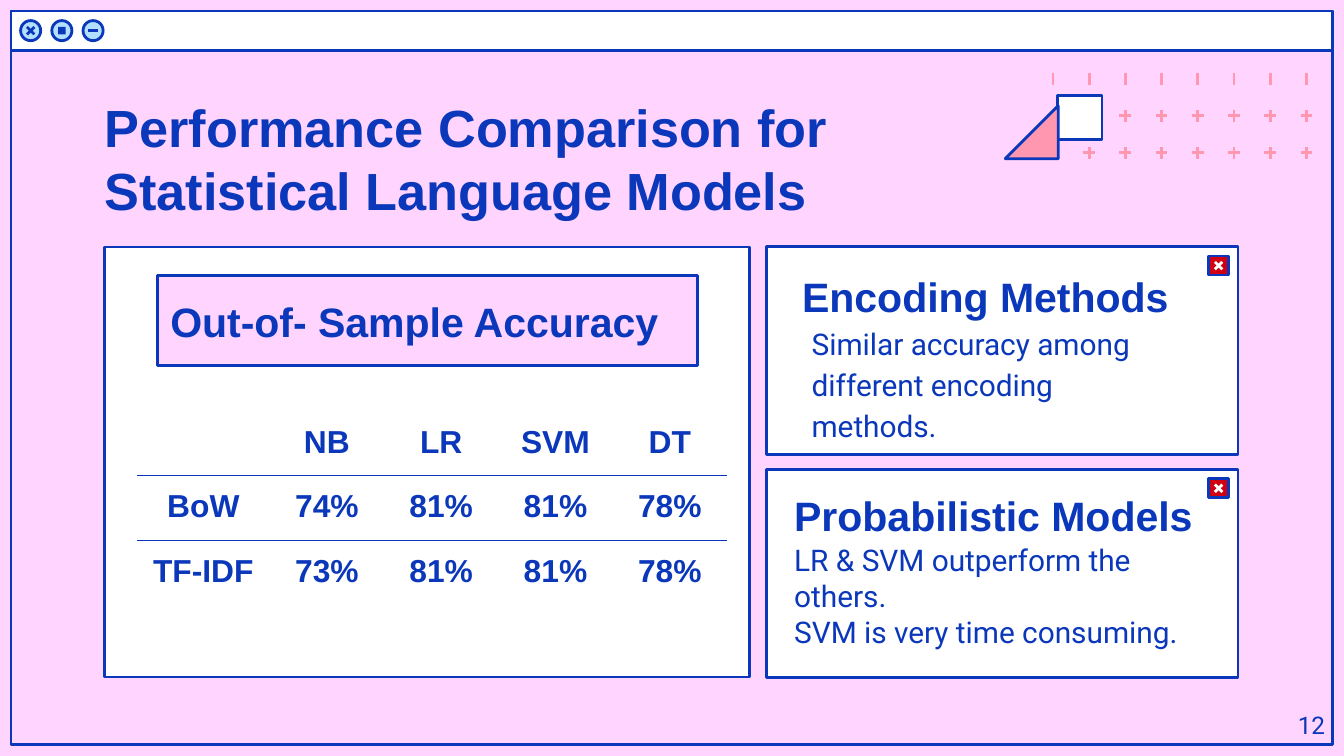
from lxml import etree
from pptx import Presentation
from pptx.dml.color import RGBColor
from pptx.enum.shapes import MSO_CONNECTOR, MSO_SHAPE
from pptx.enum.text import MSO_ANCHOR, PP_ALIGN
from pptx.oxml import parse_xml
from pptx.oxml.ns import qn
from pptx.util import Cm, Pt

BLUE = RGBColor(0x0B, 0x37, 0xBA)
PINK = RGBColor(0xFF, 0xD4, 0xFF)
ROSE = RGBColor(0xFF, 0x97, 0xB1)
SKY = RGBColor(0xB3, 0xDF, 0xFF)
RED = RGBColor(0xCF, 0x00, 0x11)
WHITE = RGBColor(0xFF, 0xFF, 0xFF)
RECTANGLE, OVAL = MSO_SHAPE.RECTANGLE, MSO_SHAPE.OVAL
STRAIGHT = MSO_CONNECTOR.STRAIGHT
TOP, MIDDLE = MSO_ANCHOR.TOP, MSO_ANCHOR.MIDDLE
LEFT, CENTER, RIGHT = PP_ALIGN.LEFT, PP_ALIGN.CENTER, PP_ALIGN.RIGHT
HEADING_FONT, BODY_FONT = "Arial", "Roboto"
PLAIN_TABLE_STYLE = "{2D5ABB26-0587-4C30-8999-92F81FD0307C}"
DRAWING_NS = "http://schemas.openxmlformats.org/drawingml/2006/main"
INSET = 0.25

TITLE = "Performance Comparison for Statistical Language Models"
TABLE_HEADING = "Out-of- Sample Accuracy"
ACCURACY = [
    ["", "NB", "LR", "SVM", "DT"],
    ["BoW", "74%", "81%", "81%", "78%"],
    ["TF-IDF", "73%", "81%", "81%", "78%"],
]
COLUMN_WIDTHS = [2.51] + [2.16] * 4
ROW_HEIGHTS = [1.22, 1.18, 1.18]
FINDINGS = [
    {"top": 4.66, "heading": "Encoding Methods", "heading_box": (14.91, 5.11, 7.8, 0.99),
     "body": ["Similar accuracy among different encoding methods."],
     "body_box": (15.09, 6.2, 7.44, 2.03), "line_spacing": 1.15, "gap": 16},
    {"top": 8.87, "heading": "Probabilistic Models", "heading_box": (14.76, 9.25, 8.36, 0.99),
     "body": ["LR & SVM outperform the others.", "SVM is very time consuming."],
     "body_box": (14.76, 10.24, 8.36, 2.03), "line_spacing": 1, "gap": 0},
]
CURSOR = [(20.45, 2.16), (20.29, 3.3), (20.07, 3), (19.81, 3.48),
          (19.53, 3.3), (19.89, 2.87), (19.48, 2.82)]

presentation = Presentation()
presentation.slide_width, presentation.slide_height = Cm(25.4), Cm(14.29)
slide = presentation.slides.add_slide(presentation.slide_layouts[6])
slide.background.fill.solid()
slide.background.fill.fore_color.rgb = PINK


def paint(shape, fill, line=BLUE):
    shape.shadow.inherit = False
    shape.fill.solid()
    shape.fill.fore_color.rgb = fill
    if line is None:
        shape.line.fill.background()
    else:
        shape.line.color.rgb = line
        shape.line.width = Pt(1.5)
    return shape


def add_box(box, fill, line=BLUE, kind=RECTANGLE):
    return paint(slide.shapes.add_shape(kind, *map(Cm, box)), fill, line)


def add_line(x1, y1, x2, y2, color):
    line = slide.shapes.add_connector(STRAIGHT, Cm(x1), Cm(y1), Cm(x2), Cm(y2))
    line.line.color.rgb = color
    line.line.width = Pt(1.5)
    etree.SubElement(line._element.spPr, qn("a:effectLst"))


def add_cross(x, y, half, color):
    add_line(x - half, y - half, x + half, y + half, color)
    add_line(x - half, y + half, x + half, y - half, color)


def style_paragraph(paragraph, size, font, bold, align):
    paragraph.alignment = align
    paragraph.font.size = Pt(size)
    paragraph.font.name = font
    paragraph.font.bold = bold
    paragraph.font.color.rgb = BLUE


def write(shape, lines, size, font=HEADING_FONT, bold=True, align=LEFT,
          anchor=MIDDLE, line_spacing=1, gap=0):
    frame = shape.text_frame
    frame.word_wrap = True
    frame.vertical_anchor = anchor
    frame.margin_left = frame.margin_right = Cm(INSET)
    frame.margin_top = frame.margin_bottom = Cm(INSET)
    frame.text = "\n".join(lines)
    for paragraph in frame.paragraphs:
        style_paragraph(paragraph, size, font, bold, align)
        paragraph.line_spacing = line_spacing
        paragraph.space_before = paragraph.space_after = Pt(gap)


def add_text(box, lines, size, **options):
    write(slide.shapes.add_textbox(*map(Cm, box)), lines, size, **options)


def add_window():
    add_box((0.21, 0.21, 24.97, 13.87), PINK)
    add_box((0.21, 0.21, 24.97, 0.75), WHITE)
    y, radius = 0.58, 0.19
    cross_x, square_x, dash_x = centers = [0.58 + 0.59 * i for i in range(3)]
    for x in centers:
        add_box((x - radius, y - radius, 2 * radius, 2 * radius), SKY, kind=OVAL)
    add_cross(cross_x, y, 0.07, BLUE)
    add_box((square_x - 0.07, y - 0.07, 0.14, 0.14), BLUE, None)
    add_line(dash_x - 0.1, y, dash_x + 0.1, y, BLUE)


def add_plus_grid():
    half = 0.11
    for row in range(3):
        for column in range(8):
            if (row, column) == (1, 1):
                continue
            x, y = 19.9 + 0.684 * column, 1.49 + 0.7 * row
            add_line(x, y - half, x, y + half, ROSE)
            if row > 0:
                add_line(x - half, y, x + half, y, ROSE)


def add_cursor():
    add_box((19.99, 1.8, 0.84, 0.84), WHITE)
    builder = slide.shapes.build_freeform(*CURSOR[0], scale=Cm(1))
    builder.add_line_segments(CURSOR[1:], close=True)
    paint(builder.convert_to_shape(), ROSE)


def add_finding(finding):
    top = finding["top"]
    add_box((14.48, top, 8.92, 3.94), WHITE)
    add_box((22.84, top + 0.18, 0.38, 0.36), RED)
    add_cross(23.03, top + 0.36, 0.07, WHITE)
    add_text(finding["heading_box"], [finding["heading"]], 22)
    add_text(finding["body_box"], finding["body"], 16, font=BODY_FONT, bold=False,
             line_spacing=finding["line_spacing"], gap=finding["gap"])


def add_bottom_border(cell):
    border = parse_xml(
        f'<a:lnB xmlns:a="{DRAWING_NS}" w="{Pt(0.75)}"><a:solidFill>'
        f'<a:srgbClr val="{BLUE}"/></a:solidFill></a:lnB>')
    cell._tc.get_or_add_tcPr().insert(0, border)


def add_accuracy_table():
    frame = slide.shapes.add_table(
        len(ACCURACY), len(COLUMN_WIDTHS), Cm(2.59), Cm(7.77),
        Cm(sum(COLUMN_WIDTHS)), Cm(sum(ROW_HEIGHTS)))
    table = frame.table
    table.first_row = table.horz_banding = False
    table._tbl.tblPr.find(qn("a:tableStyleId")).text = PLAIN_TABLE_STYLE
    for column, width in zip(table.columns, COLUMN_WIDTHS):
        column.width = Cm(width)
    for r, labels in enumerate(ACCURACY):
        table.rows[r].height = Cm(ROW_HEIGHTS[r])
        for c, label in enumerate(labels):
            cell = table.cell(r, c)
            cell.fill.background()
            if label:
                cell.text = label
                cell.margin_left = cell.margin_right = Cm(INSET)
                cell.margin_top = cell.margin_bottom = Cm(INSET)
                style_paragraph(cell.text_frame.paragraphs[0], 17, HEADING_FONT, True, CENTER)
            if r < len(ACCURACY) - 1:
                add_bottom_border(cell)


add_window()
add_plus_grid()
add_cursor()
add_text((1.73, 1.55, 16.33, 4.19), [TITLE], 28, anchor=TOP)
add_box((1.98, 4.67, 12.19, 8.13), WHITE)
write(add_box((2.97, 5.21, 10.21, 1.7), PINK), [TABLE_HEADING], 22)
add_accuracy_table()
for finding in FINDINGS:
    add_finding(finding)
add_text((23.77, 13.18, 1.52, 1.09), ["12"], 13, font=BODY_FONT, bold=False,
         align=RIGHT, anchor=TOP)
presentation.save("out.pptx")
